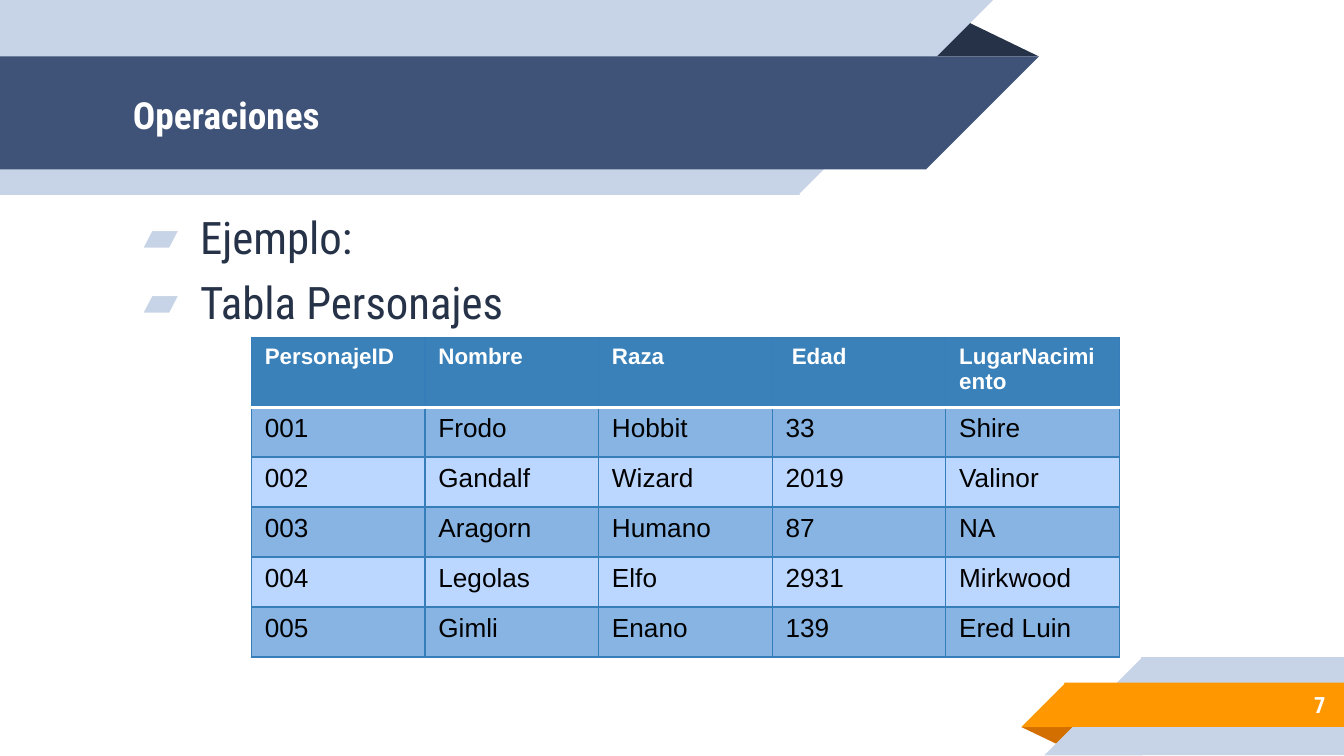
import pptx
import pptx.util
import pptx.dml.color
import pptx.enum.shapes
import pptx.enum.text
import pptx.oxml.ns
from lxml import etree

Inches = pptx.util.Inches
Pt = pptx.util.Pt
RGBColor = pptx.dml.color.RGBColor
Shape = pptx.enum.shapes.MSO_SHAPE
Align = pptx.enum.text.PP_ALIGN
Anchor = pptx.enum.text.MSO_ANCHOR
qn = pptx.oxml.ns.qn

WHITE = RGBColor(0xFF, 0xFF, 0xFF)
BLACK = RGBColor(0x00, 0x00, 0x00)
NAVY = RGBColor(0x26, 0x32, 0x48)
INDIGO = RGBColor(0x3F, 0x53, 0x78)
MIST = RGBColor(0xC7, 0xD3, 0xE6)
ORANGE = RGBColor(0xFF, 0x98, 0x00)
RUST = RGBColor(0xD2, 0x6F, 0x00)
HEADER_BLUE = RGBColor(0x3A, 0x81, 0xBA)
BAND_BLUE = RGBColor(0x87, 0xB4, 0xE3)
PALE_BLUE = RGBColor(0xBB, 0xD6, 0xFF)
GRID_BLUE = RGBColor(0x36, 0x7E, 0xB9)


def add_text(box, lines, color, format_values, align=Align.LEFT):
    frame = box.text_frame
    frame.word_wrap = True
    frame.vertical_anchor = Anchor.MIDDLE
    for side in ("left", "top", "right", "bottom"):
        setattr(frame, f"margin_{side}", Inches(0.1))
    frame.text = "\n".join(lines)
    for paragraph in frame.paragraphs:
        paragraph.alignment = align
        for key, value in format_values.items():
            setattr(paragraph.runs[0].font, key, value)
        paragraph.runs[0].font.color.rgb = color
    return frame


def add_border(cell, side, color, width):
    line = etree.SubElement(cell._tc.get_or_add_tcPr(), qn(f"a:{side}"), w=str(Pt(width)))
    fill = etree.SubElement(line, qn("a:solidFill"))
    etree.SubElement(fill, qn("a:srgbClr"), val=str(color))


deck = pptx.Presentation()
deck.slide_width = Inches(10)
deck.slide_height = Inches(10) * 9 // 16
slide = deck.slides.add_slide(deck.slide_layouts[6])

ribbons = [
    (Shape.ISOSCELES_TRIANGLE, 6.88, 0.14, 0.85, 0.28, 0, NAVY),
    (Shape.RECTANGLE, 0, 0, 5.95, 1.45, 0, MIST),
    (Shape.RIGHT_TRIANGLE, 5.94, 0, 1.45, 1.45, 90, MIST),
    (Shape.RECTANGLE, 0, 0.42, 6.89, 0.84, 0, INDIGO),
    (Shape.RIGHT_TRIANGLE, 6.89, 0.42, 0.84, 0.84, 90, INDIGO),
    (Shape.ISOSCELES_TRIANGLE, 7.6, 5.41, 0.43, 0.14, 180, RUST),
    (Shape.RECTANGLE, 8.49, 4.89, 1.51, 0.73, 0, MIST),
    (Shape.RIGHT_TRIANGLE, 7.77, 4.89, 0.73, 0.73, 270, MIST),
    (Shape.RECTANGLE, 7.92, 5.08, 2.08, 0.33, 0, ORANGE),
    (Shape.RIGHT_TRIANGLE, 7.6, 5.08, 0.33, 0.33, 270, ORANGE),
]
for kind, left, top, width, height, rotation, color in ribbons:
    ribbon = slide.shapes.add_shape(kind, Inches(left), Inches(top), Inches(width), Inches(height))
    ribbon.rotation = rotation
    ribbon.shadow.inherit = False
    ribbon.fill.solid()
    ribbon.fill.fore_color.rgb = color
    ribbon.line.fill.background()
    if kind == Shape.ISOSCELES_TRIANGLE:
        ribbon.adjustments[0] = 0.32

title = slide.shapes.add_textbox(Inches(0.89), Inches(0.43), Inches(6.01), Inches(0.84))
add_text(title, ["Operaciones"], WHITE,
         {"name": "Roboto Condensed", "size": Pt(20), "bold": True})

example = slide.shapes.add_textbox(Inches(0.89), Inches(1.45), Inches(6.71), Inches(3.44))
example_frame = add_text(example, ["Ejemplo:", "Tabla Personajes"], NAVY,
                         {"name": "Roboto Condensed", "size": Pt(24)})
example_frame.vertical_anchor = Anchor.TOP
example_frame.margin_top = Inches(0.11)
for paragraph in example_frame.paragraphs:
    paragraph.space_before = Pt(6)
    properties = paragraph._p.get_or_add_pPr()
    properties.set("marL", str(Inches(0.5)))
    properties.set("indent", str(Inches(-0.42)))
    bullet_color = etree.SubElement(properties, qn("a:buClr"))
    etree.SubElement(bullet_color, qn("a:srgbClr"), val=str(MIST))
    etree.SubElement(properties, qn("a:buFont"), typeface="Roboto Condensed")
    etree.SubElement(properties, qn("a:buChar"), char="▰")

page_number = slide.shapes.add_textbox(Inches(8.33), Inches(5.07), Inches(1.63), Inches(0.35))
add_text(page_number, ["7"], WHITE,
         {"name": "Roboto Condensed", "size": Pt(12), "bold": True}, Align.RIGHT)

characters = [
    ("PersonajeID", "Nombre", "Raza", " Edad", "LugarNacimiento"),
    ("001", "Frodo", "Hobbit", "33", "Shire"),
    ("002", "Gandalf", "Wizard", "2019", "Valinor"),
    ("003", "Aragorn", "Humano", "87", "NA"),
    ("004", "Legolas", "Elfo", "2931", "Mirkwood"),
    ("005", "Gimli", "Enano", "139", "Ered Luin"),
]
header_format = {"name": "Arial", "size": Pt(12), "bold": True}
body_format = {"name": "Arial", "size": Pt(14), "bold": False}
header_height = Inches(0.52)
body_height = (Inches(2.38) - header_height) // (len(characters) - 1)
table = slide.shapes.add_table(len(characters), len(characters[0]), Inches(1.87), Inches(2.51),
                               Inches(6.46), Inches(2.38)).table
for column in table.columns:
    column.width = Inches(6.46) // len(characters[0])
for row_index, character in enumerate(characters):
    is_header = row_index == 0
    table.rows[row_index].height = header_height if is_header else body_height
    row_fill = HEADER_BLUE if is_header else BAND_BLUE if row_index % 2 else PALE_BLUE
    for column_index, value in enumerate(character):
        cell = table.cell(row_index, column_index)
        cell.text = value
        font = cell.text_frame.paragraphs[0].runs[0].font
        for key, setting in (header_format if is_header else body_format).items():
            setattr(font, key, setting)
        font.color.rgb = WHITE if is_header else BLACK
        for side in ("lnL", "lnR", "lnT", "lnB"):
            under_header = (row_index, side) in ((0, "lnB"), (1, "lnT"))
            add_border(cell, side, *((WHITE, 2) if under_header else (GRID_BLUE, 0.75)))
        cell.fill.solid()
        cell.fill.fore_color.rgb = row_fill

deck.save("out.pptx")
